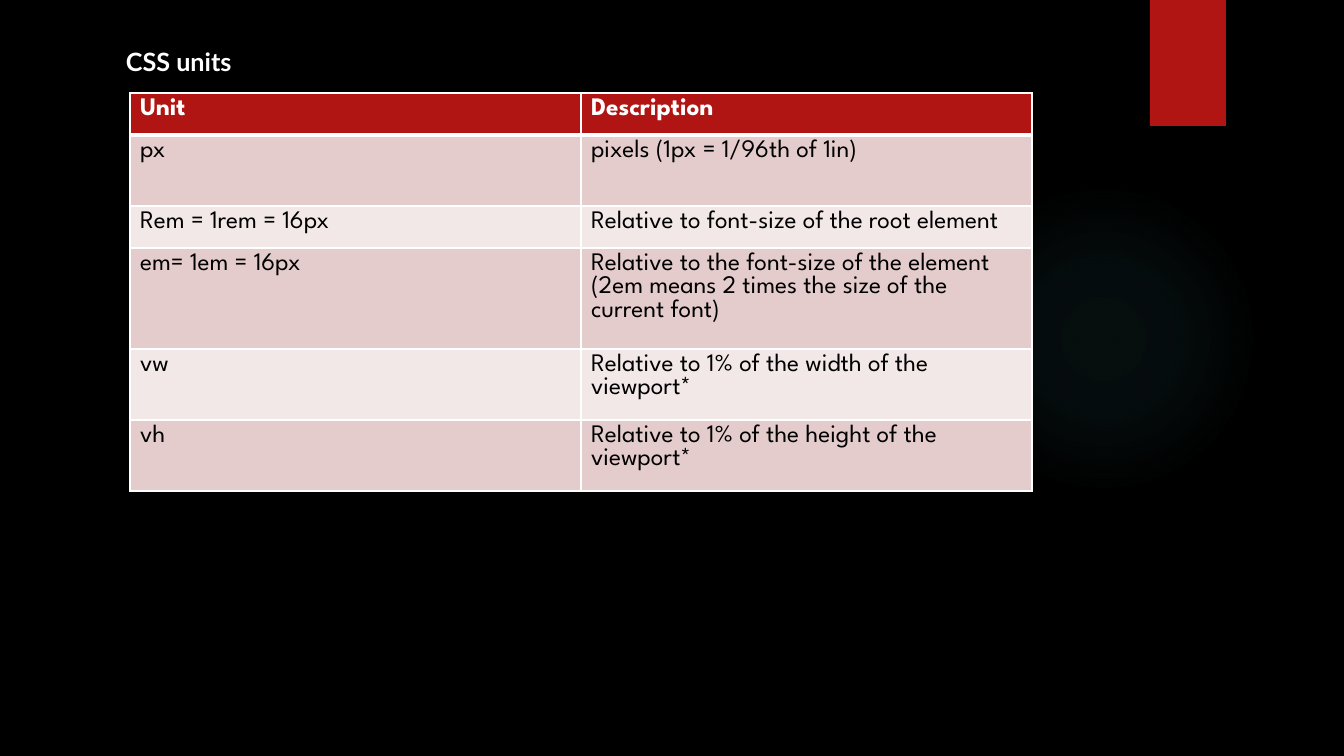
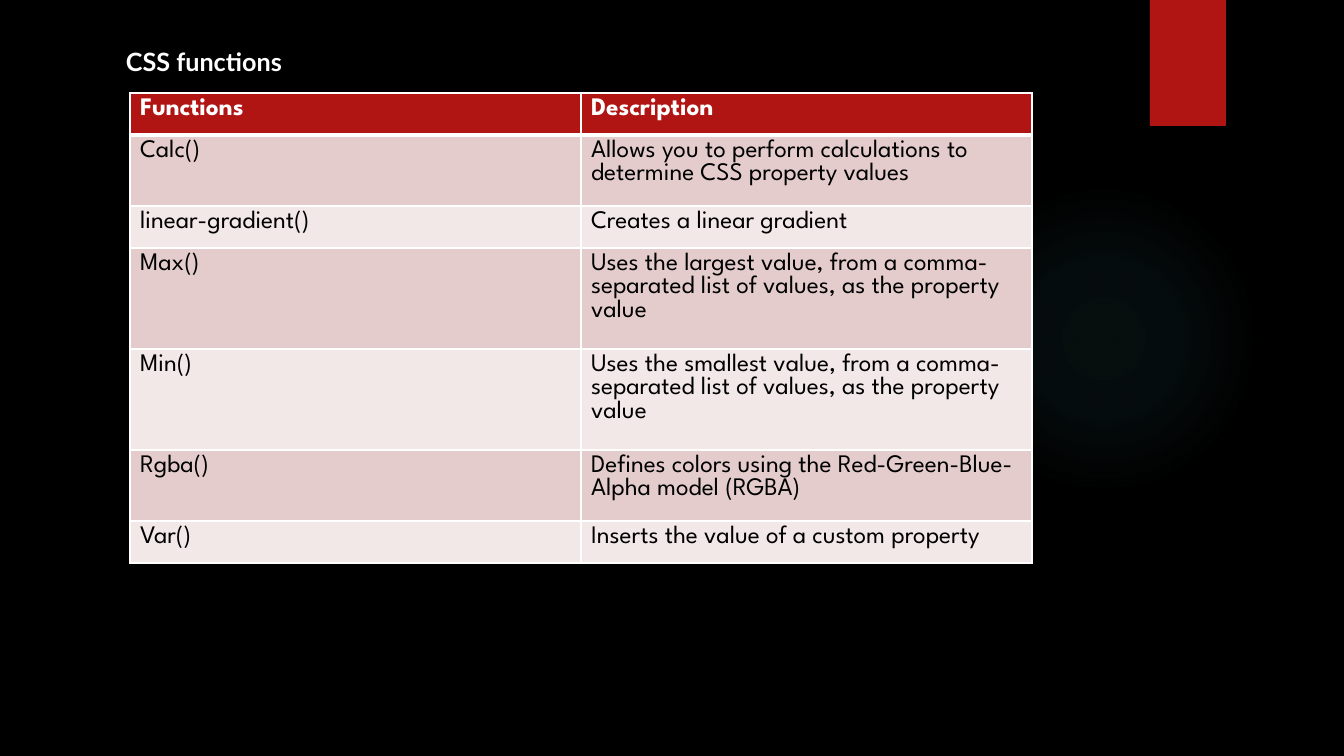
from pptx import Presentation
from pptx import util as u
from pptx.dml.color import RGBColor
from pptx.enum import shapes, text
from pptx.oxml import parse_xml
from pptx.oxml.ns import nsdecls, qn

BLACK = RGBColor(0x00, 0x00, 0x00)
WHITE = RGBColor(0xFF, 0xFF, 0xFF)
RED = RGBColor(0xB0, 0x15, 0x13)
ROSE = RGBColor(0xE4, 0xCC, 0xCC)
PALE_ROSE = RGBColor(0xF2, 0xE8, 0xE7)
TEAL = RGBColor(0x50, 0xB9, 0xC1)

TITLE_FONT = "Lato"
TABLE_FONT = "League Spartan"
FONT_SIZE = u.Pt(18)

SLIDE_WIDTH, SLIDE_HEIGHT = 1344, 756
EMU_PER_PX = u.Inches(7.5) / SLIDE_HEIGHT
COLUMN_WIDTH = 451
ROW_HEIGHT = {1: 42, 2: 71, 3: 101}
GLOW_STOPS = ((0, 7), (36, 6), (69, 0))

UNITS = (
    ("Unit", "Description", 1),
    ("px", "pixels (1px = 1/96th of 1in)", 2),
    ("Rem = 1rem = 16px", "Relative to font-size of the root element", 1),
    ("em= 1em = 16px",
     "Relative to the font-size of the element (2em means 2 times the size of the current font)", 3),
    ("vw", "Relative to 1% of the width of the viewport*", 2),
    ("vh", "Relative to 1% of the height of the viewport*", 2),
)
FUNCTIONS = (
    ("Functions", "Description", 1),
    ("Calc()", "Allows you to perform calculations to determine CSS property values", 2),
    ("linear-gradient()", "Creates a linear gradient", 1),
    ("Max()",
     "Uses the largest value, from a comma-separated list of values, as the property value", 3),
    ("Min()",
     "Uses the smallest value, from a comma-separated list of values, as the property value", 3),
    ("Rgba()", "Defines colors using the Red-Green-Blue-Alpha model (RGBA)", 2),
    ("Var()", "Inserts the value of a custom property", 1),
)


def px(length):
    return u.Emu(round(length * EMU_PER_PX))


def box(left, top, width, height):
    return px(left), px(top), px(width), px(height)


def add_run(paragraph, wording, font_name, color, bold):
    run = paragraph.add_run()
    run.text = wording
    run.font.name = font_name
    run.font.size = FONT_SIZE
    run.font.bold = bold
    run.font.color.rgb = color


def add_plain_shape(slide, kind, bounds):
    shape = slide.shapes.add_shape(kind, *box(*bounds))
    shape.shadow.inherit = False
    shape.line.fill.background()
    return shape


def add_glow(slide):
    glow = add_plain_shape(slide, shapes.MSO_SHAPE.OVAL, (949, 184, 310, 310))
    glow.fill.background()
    stops = "".join(
        f'<a:gs pos="{position * 1000}"><a:srgbClr val="{TEAL}">'
        f'<a:alpha val="{opacity * 1000}"/></a:srgbClr></a:gs>'
        for position, opacity in GLOW_STOPS
    )
    gradient = parse_xml(
        f'<a:gradFill {nsdecls("a")} rotWithShape="1"><a:gsLst>{stops}</a:gsLst>'
        '<a:path path="circle"><a:fillToRect l="50000" t="50000" r="50000" b="50000"/></a:path>'
        '</a:gradFill>'
    )
    properties = glow.element.spPr
    properties.replace(properties.find(qn("a:noFill")), gradient)


def add_ribbon(slide):
    ribbon = add_plain_shape(slide, shapes.MSO_SHAPE.RECTANGLE, (1150, 0, 76, 126))
    ribbon.fill.solid()
    ribbon.fill.fore_color.rgb = RED


def add_title(slide, wording):
    frame = slide.shapes.add_textbox(*box(116, 41, 1028, 132)).text_frame
    frame.word_wrap = True
    frame.vertical_anchor = text.MSO_ANCHOR.TOP
    add_run(frame.paragraphs[0], wording, TITLE_FONT, WHITE, True)


def set_borders(cell, top=1, bottom=1):
    properties = cell._tc.get_or_add_tcPr()
    widths = (("L", 1), ("R", 1), ("T", top), ("B", bottom))
    for index, (side, width) in enumerate(widths):
        properties.insert(index, parse_xml(
            f'<a:ln{side} {nsdecls("a")} w="{u.Pt(width)}"><a:solidFill>'
            f'<a:srgbClr val="{WHITE}"/></a:solidFill></a:ln{side}>'
        ))


def fill_cell(cell, wording, row_index):
    is_header = row_index == 0
    cell.fill.solid()
    cell.fill.fore_color.rgb = RED if is_header else (PALE_ROSE, ROSE)[row_index % 2]
    set_borders(cell, top=3 if row_index == 1 else 1, bottom=3 if is_header else 1)
    add_run(cell.text_frame.paragraphs[0], wording, TABLE_FONT,
            WHITE if is_header else BLACK, is_header)


def add_reference_table(slide, rows):
    heights = [ROW_HEIGHT[lines] for *_, lines in rows]
    bounds = box(130, 93, 2 * COLUMN_WIDTH, sum(heights))
    table = slide.shapes.add_table(len(rows), 2, *bounds).table
    table.horz_banding = False
    for column in table.columns:
        column.width = px(COLUMN_WIDTH)
    for row_index, (*wordings, _) in enumerate(rows):
        table.rows[row_index].height = px(heights[row_index])
        for column_index, wording in enumerate(wordings):
            fill_cell(table.cell(row_index, column_index), wording, row_index)


def add_reference_slide(presentation, title, rows):
    slide = presentation.slides.add_slide(presentation.slide_layouts[6])
    add_glow(slide)
    add_ribbon(slide)
    add_title(slide, title)
    add_reference_table(slide, rows)


def main():
    presentation = Presentation()
    presentation.slide_width = px(SLIDE_WIDTH)
    presentation.slide_height = px(SLIDE_HEIGHT)
    background = presentation.slide_master.background.fill
    background.solid()
    background.fore_color.rgb = BLACK
    add_reference_slide(presentation, "CSS units", UNITS)
    add_reference_slide(presentation, "CSS functions", FUNCTIONS)
    presentation.save("out.pptx")


if __name__ == "__main__":
    main()
